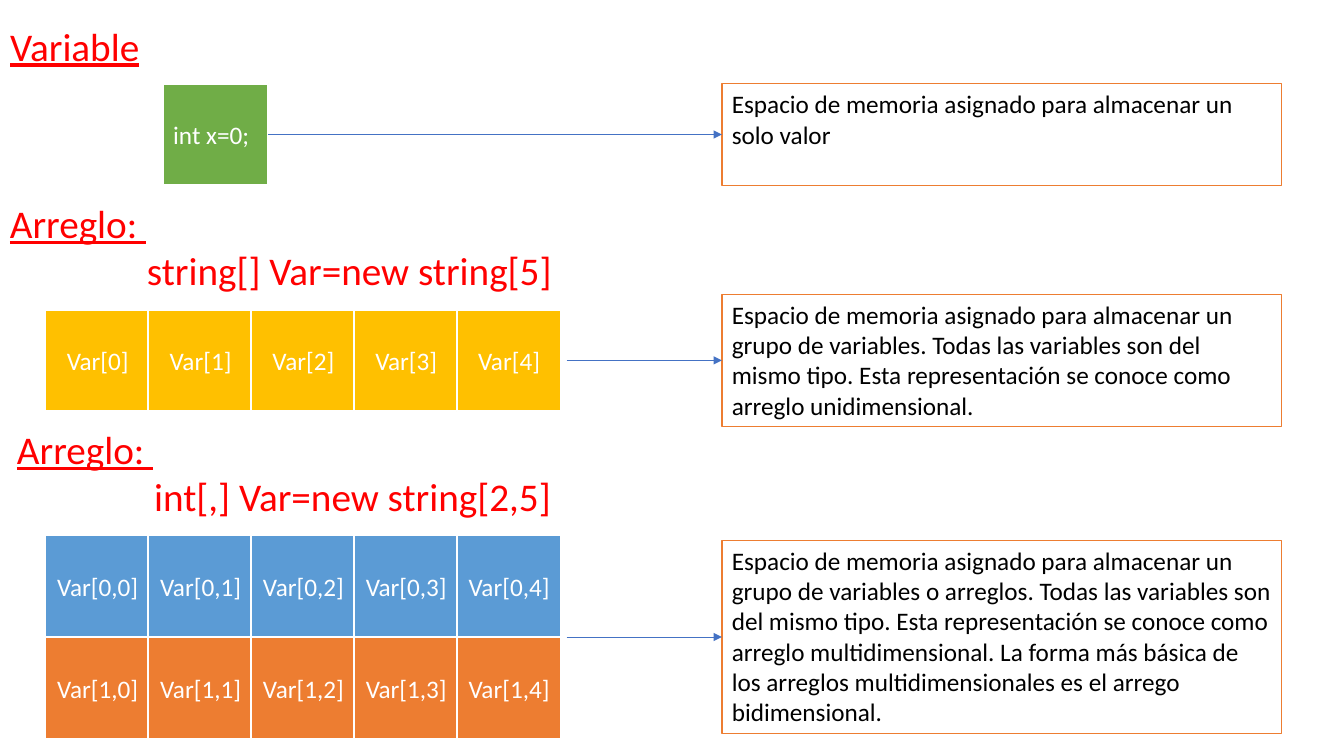
import pptx
import pptx.util
import pptx.dml.color
import pptx.enum.shapes
import pptx.enum.text
import pptx.oxml.ns
import lxml.etree

Inches, Pt = pptx.util.Inches, pptx.util.Pt
RGBColor = pptx.dml.color.RGBColor
ALIGN = pptx.enum.text.PP_ALIGN
ANCHOR = pptx.enum.text.MSO_ANCHOR
qn = pptx.oxml.ns.qn

WHITE = RGBColor(0xFF, 0xFF, 0xFF)
BLACK = RGBColor(0x00, 0x00, 0x00)
RED = RGBColor(0xFF, 0x00, 0x00)
GREEN = RGBColor(0x70, 0xAD, 0x47)
GOLD = RGBColor(0xFF, 0xC0, 0x00)
SKY = RGBColor(0x5B, 0x9B, 0xD5)
ORANGE = RGBColor(0xED, 0x7D, 0x31)
ARROW_BLUE = RGBColor(0x44, 0x72, 0xC4)

CELL_W, CELL_H = 1.04, 1.01
COLUMN_STEP = 1.02
ARRAY_LEFT = 0.45
ARROW_LEFT = 5.62
NOTE_LEFT, NOTE_W = 7.16, 5.55


def write(p, text, size=18, color=BLACK, underline=False, align=ALIGN.LEFT, indent=0):
    p.alignment = align
    if indent:
        p._p.get_or_add_pPr().set("marL", str(Inches(indent)))
    r = p.add_run()
    r.text = text
    r.font.name = "Calibri"
    r.font.size = Pt(size)
    r.font.color.rgb = color
    r.font.underline = underline


def add_box(s, left, top, width, height, fill, line, line_width, anchor):
    sp = s.shapes.add_shape(pptx.enum.shapes.MSO_SHAPE.RECTANGLE,
                            Inches(left), Inches(top), Inches(width), Inches(height))
    sp.shadow.inherit = False
    sp.fill.solid()
    sp.fill.fore_color.rgb = fill
    sp.line.color.rgb = line
    sp.line.width = Pt(line_width)
    sp.text_frame.word_wrap = True
    sp.text_frame.vertical_anchor = anchor
    return sp


def add_cell(s, left, top, text, fill, align=ALIGN.CENTER):
    sp = add_box(s, left, top, CELL_W, CELL_H, fill, WHITE, 1.5, ANCHOR.MIDDLE)
    write(sp.text_frame.paragraphs[0], text, color=WHITE, align=align)
    return sp


def add_array(s, left, top, rows):
    """Draw one row of cells for each (labels, fill) pair."""
    for i, (labels, fill) in enumerate(rows):
        for j, label in enumerate(labels):
            add_cell(s, left + j * COLUMN_STEP, top + i * CELL_H, label, fill)


def add_note(s, top, height, text):
    sp = add_box(s, NOTE_LEFT, top, NOTE_W, height, WHITE, ORANGE, 1, ANCHOR.TOP)
    write(sp.text_frame.paragraphs[0], text)
    return sp


def add_arrow(s, note, cell=None):
    """Point at the note, from the cell if given, else from beside the array."""
    y = note.top + note.height // 2
    cxn = s.shapes.add_connector(pptx.enum.shapes.MSO_CONNECTOR.STRAIGHT,
                                 Inches(ARROW_LEFT), y, note.left, y)
    if cell is not None:
        cxn.begin_connect(cell, 3)
    cxn.end_connect(note, 1)
    cxn.line.color.rgb = ARROW_BLUE
    cxn.line.width = Pt(0.5)
    lxml.etree.SubElement(cxn.line._get_or_add_ln(), qn("a:tailEnd"), type="triangle")
    lxml.etree.SubElement(cxn._element.spPr, qn("a:effectLst"))


def add_title(s, left, top, width, height, text):
    sp = s.shapes.title
    sp.left, sp.top = Inches(left), Inches(top)
    sp.width, sp.height = Inches(width), Inches(height)
    tf = sp.text_frame
    tf.auto_size = pptx.enum.text.MSO_AUTO_SIZE.NONE
    tf.vertical_anchor = ANCHOR.TOP
    tf.word_wrap = True
    write(tf.paragraphs[0], text, size=28, color=RED, underline=True)


def add_array_heading(s, left, top, width, declaration):
    tf = s.shapes.add_textbox(Inches(left), Inches(top), Inches(width), Inches(1.04)).text_frame
    tf.word_wrap = True
    write(tf.paragraphs[0], "Arreglo: ", size=28, color=RED, underline=True)
    write(tf.add_paragraph(), declaration, size=28, color=RED, indent=1.36)


def add_variable_section(s):
    add_title(s, 0, 0.17, 1.55, 0.57, "Variable")
    cell = add_cell(s, 1.62, 0.83, "int x=0;", GREEN, align=ALIGN.LEFT)
    note = add_note(s, 0.83, CELL_H, "Espacio de memoria asignado para almacenar un solo valor")
    add_arrow(s, note, cell)


def add_one_dimension_section(s):
    add_array_heading(s, 0, 1.93, 5.73, "string[] Var=new string[5]")
    add_array(s, ARRAY_LEFT, 3.07, [([f"Var[{j}]" for j in range(5)], GOLD)])
    note = add_note(s, 2.92, 1.31,
                    "Espacio de memoria asignado para almacenar un grupo de variables. "
                    "Todas las variables son del mismo tipo. Esta representación se conoce "
                    "como arreglo unidimensional.")
    add_arrow(s, note)


def add_two_dimension_section(s):
    add_array_heading(s, 0.07, 4.17, 5.55, "int[,] Var=new string[2,5]")
    add_array(s, ARRAY_LEFT, 5.31, [([f"Var[{i},{j}]" for j in range(5)], fill)
                                    for i, fill in enumerate((SKY, ORANGE))])
    note = add_note(s, 5.36, 1.92,
                    "Espacio de memoria asignado para almacenar un grupo de variables o "
                    "arreglos. Todas las variables son del mismo tipo. Esta representación se "
                    "conoce como arreglo multidimensional. La forma más básica de los arreglos "
                    "multidimensionales es el arrego bidimensional.")
    add_arrow(s, note)


def main():
    prs = pptx.Presentation()
    prs.slide_width, prs.slide_height = Inches(13.33), Inches(7.5)
    s = prs.slides.add_slide(prs.slide_layouts[5])
    add_variable_section(s)
    add_one_dimension_section(s)
    add_two_dimension_section(s)
    prs.save("out.pptx")


if __name__ == "__main__":
    main()
